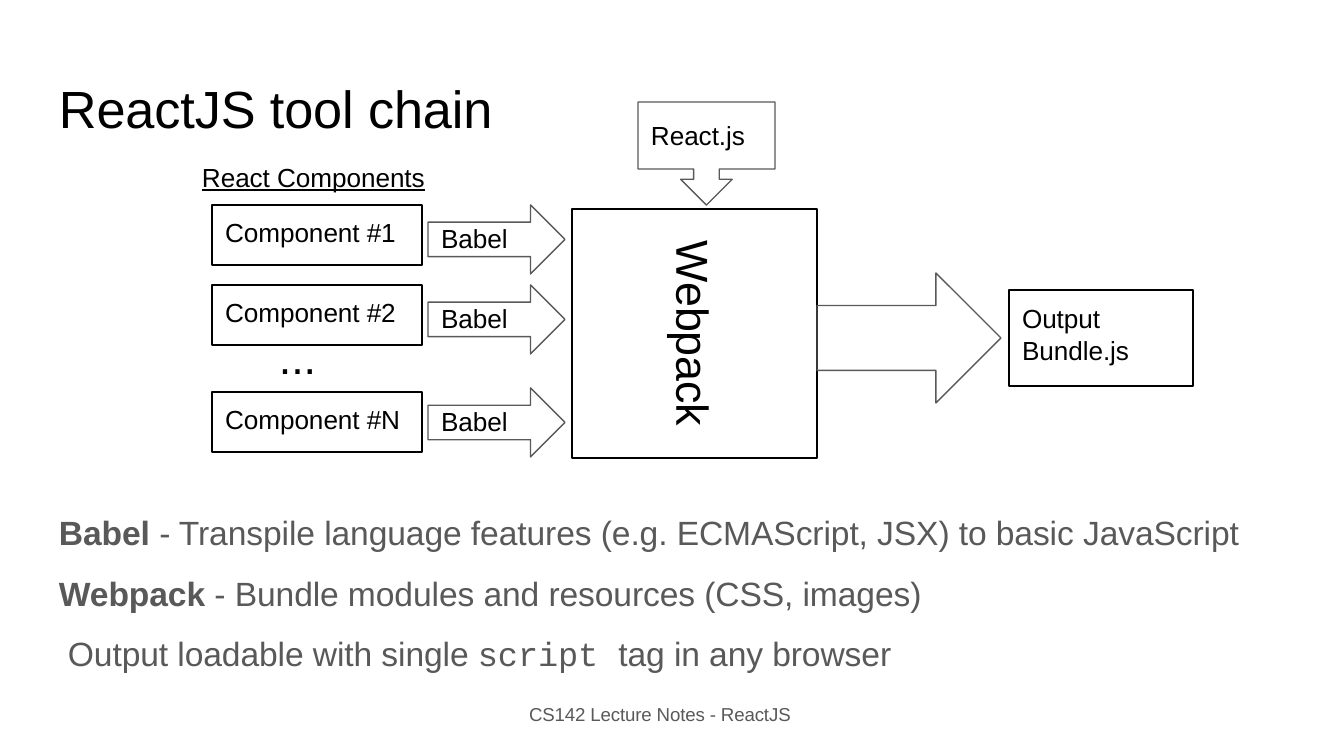
"""Builds the ReactJS tool chain slide."""
from pptx import Presentation
from pptx import util as u
from pptx.dml.color import RGBColor
from pptx.enum import shapes, text

INK = {"black": "000000", "gray": "595959"}
KIND = shapes.MSO_SHAPE
TOP, MID = text.MSO_ANCHOR.TOP, text.MSO_ANCHOR.MIDDLE
PX = 914400 / 134.4

TITLE = "ReactJS tool chain"
NOTES = [
    [("Babel", "bold"), (" - Transpile language features (e.g. ECMAScript, JSX) to basic JavaScript", "")],
    [("Webpack", "bold"), (" - Bundle modules and resources (CSS, images)", "")],
    [("Output loadable with single ", ""), ("script ", "code"), ("tag in any browser", "")],
]
PARTS = [("Component #1", 205, 205), ("Component #2", 285, 285), ("Component #N", 392, 388)]
LABELS = [
    ("React Components", (200, 160, 227, 35), 14, "black", 1, {"underline": True}),
    ("...", (277, 328, 40, 58), 24, "black", 2, {}),
    ("CS142 Lecture Notes - ReactJS", (527, 703, 284, 23), 10, "gray", 0, {}),
]
STEPS = [
    (KIND.DOWN_ARROW_CALLOUT, "React.js", (638, 102, 137, 103), "gray", 0),
    (KIND.RIGHT_ARROW, "", (817, 273, 184, 130), "gray", 0),
    (KIND.RECTANGLE, "Output\vBundle.js", (1009, 290, 184, 96), "black", 8),
]


def px(n):
    return round(n * PX)


def tint(name):
    return RGBColor.from_string(INK[name])


def place(item, box):
    for key, n in zip(("left", "top", "width", "height"), box):
        setattr(item, key, px(n))


def frame(item, pads, anchor=MID, wrap=True):
    form = {"word_wrap": wrap, "auto_size": text.MSO_AUTO_SIZE.NONE, "vertical_anchor": anchor}
    for side, n in zip(("left", "top", "right", "bottom"), pads):
        form["margin_" + side] = px(n)
    for key, val in form.items():
        setattr(item.text_frame, key, val)
    return item.text_frame


def style(para, size, ink, **more):
    para.alignment = text.PP_ALIGN.LEFT
    for run in para.runs:
        form = {"name": "Arial", "size": u.Pt(size), "bold": False, **more}
        for key, val in form.items():
            setattr(run.font, key, val)
        run.font.color.rgb = tint(ink)
        run.font._element.set("spc", "-5")


def draw(kind, words, box, ink, low=0, size=14, left=13):
    item = slide.shapes.add_shape(kind, *map(px, box))
    item.shadow.inherit = False
    item.fill.background()
    item.line.color.rgb = tint(ink)
    item.line.width = u.Pt(0.75)
    para = frame(item, (left, 0, 0, low)).paragraphs[0]
    if words:
        para.text = words
        style(para, size, ink="black")
    return item


deck = Presentation()
deck.slide_width, deck.slide_height = px(1344), px(756)
slide = deck.slides.add_slide(deck.slide_layouts[1])
title, body = slide.placeholders

place(title, (56, 74, 440, 66))
title.text = TITLE
style(frame(title, (3, 2, 0, 0), wrap=False).paragraphs[0], 28, "black")

place(body, (56, 490, 1200, 185))
notes = frame(body, (3, 22, 0, 0), TOP)
for i, runs in enumerate(NOTES):
    para = notes.paragraphs[0] if i == 0 else notes.add_paragraph()
    for words, look in runs:
        para.add_run().text = words
    style(para, 18, "gray")
    for run, (words, look) in zip(para.runs, runs):
        run.font.bold = look == "bold"
        run.font.name = "Courier New" if look == "code" else "Arial"
    para.space_before = u.Pt(10.9 if i else 0)
    props = para._p.get_or_add_pPr()
    props.set("marL", str(px(9 if i == 2 else 0)))
    props.set("indent", "0")
    props.insert_element_before(props.makeelement(
        "{http://schemas.openxmlformats.org/drawingml/2006/main}buNone", {}), "a:tabLst", "a:defRPr")

for words, row, tip in PARTS:
    draw(KIND.RECTANGLE, words, (212, row, 210, 60), "black", 6)
    draw(KIND.RIGHT_ARROW, "Babel", (428, tip, 137, 69), "gray", 2)

pack = draw(KIND.RECTANGLE, "Webpack", (572, 209, 245, 249), "black", size=24, left=0)
pack.text_frame._txBody.bodyPr.set("vert", "vert")
pack.text_frame.paragraphs[0]._p.get_or_add_pPr().set("marL", str(px(32)))

for kind, words, box, ink, low in STEPS:
    draw(kind, words, box, ink, low)

for words, box, size, ink, high, more in LABELS:
    label = slide.shapes.add_textbox(*map(px, box))
    para = frame(label, (2, high, 0, 0), TOP, wrap=False).paragraphs[0]
    para.text = words
    style(para, size, ink, **more)

deck.save("out.pptx")
